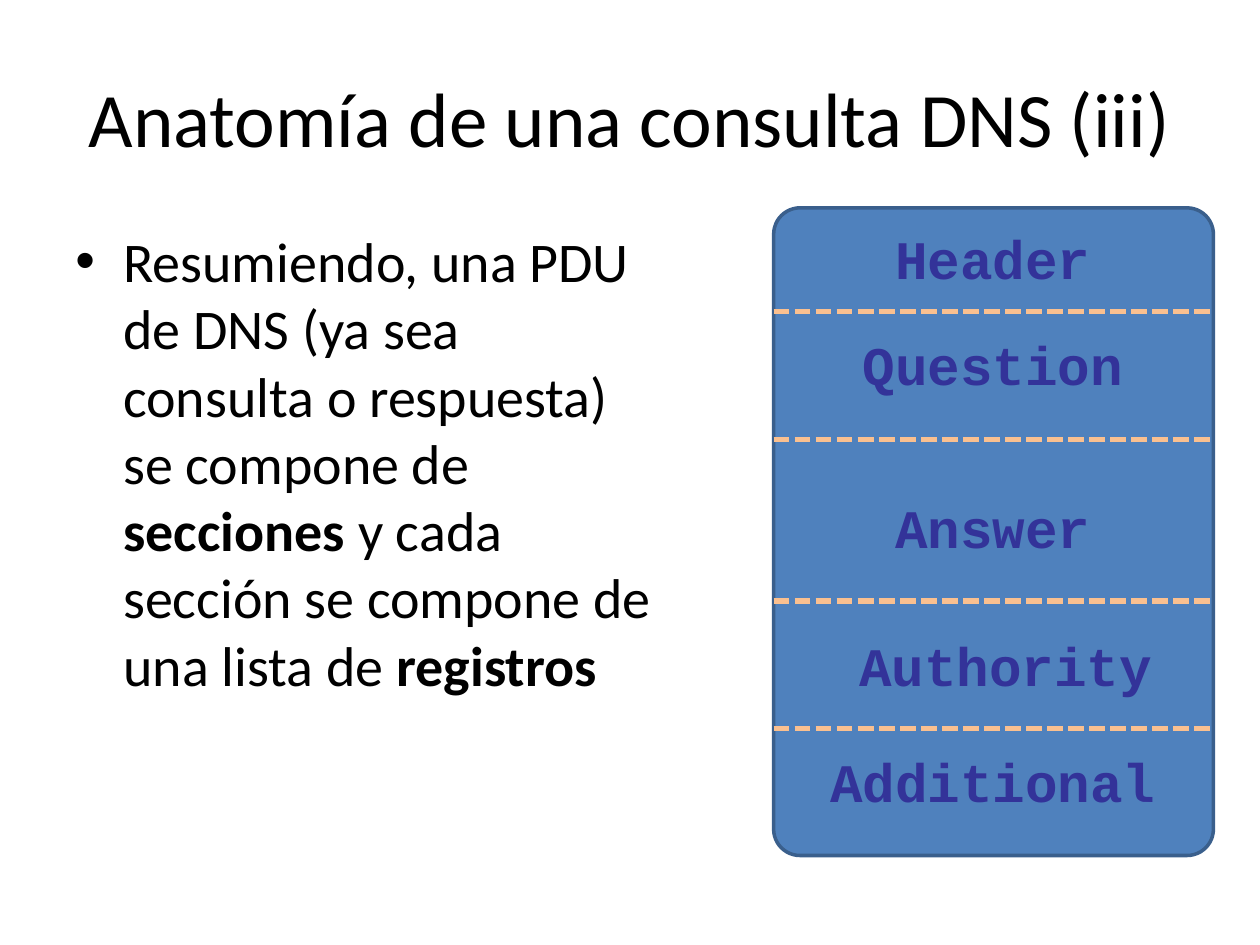
from typing import NamedTuple, Optional

from lxml.etree import SubElement
from pptx import Presentation
from pptx.dml.color import RGBColor
from pptx.enum.dml import MSO_LINE
from pptx.enum.shapes import MSO_CONNECTOR, MSO_SHAPE
from pptx.enum.text import MSO_ANCHOR, PP_ALIGN
from pptx.oxml.ns import qn
from pptx.shapes.group import GroupShape
from pptx.text.text import TextFrame, _Paragraph
from pptx.util import Inches, Pt

BLACK = RGBColor(0x00, 0x00, 0x00)
BLUE = RGBColor(0x4F, 0x81, 0xBD)
DARK_BLUE = RGBColor(0x3A, 0x5F, 0x8C)
INDIGO = RGBColor(0x33, 0x33, 0x99)
PEACH = RGBColor(0xFA, 0xC0, 0x90)

PDU_LEFT, PDU_TOP, PDU_WIDTH, PDU_HEIGHT = 6.14, 1.65, 3.49, 5.14
LABEL_LEFT, LABEL_WIDTH, LABEL_HEIGHT = 6.41, 2.94, 0.63


class Section(NamedTuple):
    """A section of the PDU: its label and the divider below it."""
    name: str
    top: float
    divider: Optional[float] = None
    shift: float = 0


SECTIONS = [
    Section("Header", 1.74, 2.47),
    Section("Question", 2.58, 3.49),
    Section("Answer", 3.87, 4.77),
    Section("Authority", 4.97, 5.78, shift=0.1),
    Section("Additional", 5.89),
]

BODY_RUNS = [
    ("Resumiendo, una PDU de DNS (ya sea consulta o respuesta) se compone de ", False),
    ("secciones ", True),
    ("y cada sección se compone de una lista de ", False),
    ("registros", True),
]


def add_text_frame(shapes, left: float, top: float, width: float, height: float) -> TextFrame:
    """Add a wrapping text box and return its text frame."""
    sp = shapes.add_textbox(Inches(left), Inches(top), Inches(width), Inches(height))
    sp.text_frame.word_wrap = True
    return sp.text_frame


def add_run(p: _Paragraph, text: str, size: float, font: str = "Calibri",
            color: RGBColor = BLACK, bold: bool = False) -> None:
    """Append a formatted run to a paragraph."""
    r = p.add_run()
    r.text = text
    r.font.size = Pt(size)
    r.font.name = font
    r.font.bold = bold
    r.font.color.rgb = color


def set_bullet(p: _Paragraph, indent: float) -> None:
    """Give a paragraph a round bullet with a hanging indent."""
    pPr = p._p.get_or_add_pPr()
    pPr.set("marL", str(Inches(indent)))
    pPr.set("indent", str(-Inches(indent)))
    SubElement(pPr, qn("a:buFont")).set("typeface", "Arial")
    SubElement(pPr, qn("a:buChar")).set("char", "•")


def add_divider(group: GroupShape, y: float) -> None:
    """Draw a dashed line across the PDU."""
    line = group.shapes.add_connector(
        MSO_CONNECTOR.STRAIGHT, Inches(PDU_LEFT), Inches(y),
        Inches(PDU_LEFT + PDU_WIDTH), Inches(y))
    line.line.color.rgb = PEACH
    line.line.width = Pt(3)
    line.line.dash_style = MSO_LINE.SQUARE_DOT
    SubElement(line._element.spPr, qn("a:effectLst"))


def add_section(group: GroupShape, section: Section) -> None:
    """Write a section label and draw the divider below it."""
    tf = add_text_frame(group.shapes, LABEL_LEFT + section.shift, section.top,
                        LABEL_WIDTH, LABEL_HEIGHT)
    p = tf.paragraphs[0]
    p.alignment = PP_ALIGN.CENTER
    add_run(p, section.name, 31, "Courier New", INDIGO, True)
    if section.divider is not None:
        add_divider(group, section.divider)


prs = Presentation()
prs.slide_width, prs.slide_height = Inches(10), Inches(7.5)
s = prs.slides.add_slide(prs.slide_layouts[6])

tf = add_text_frame(s.shapes, 0.5, 0.3, 9, 1.25)
tf.vertical_anchor = MSO_ANCHOR.MIDDLE
p = tf.paragraphs[0]
p.alignment = PP_ALIGN.CENTER
add_run(p, "Anatomía de una consulta DNS (iii)", 44)

tf = add_text_frame(s.shapes, 0.5, 1.75, 4.84, 4.95)
p = tf.paragraphs[0]
p.space_before = Pt(6.4)
set_bullet(p, 0.38)
for text, bold in BODY_RUNS:
    add_run(p, text, 32, bold=bold)

pdu = s.shapes.add_group_shape()
sp = pdu.shapes.add_shape(MSO_SHAPE.ROUNDED_RECTANGLE, Inches(PDU_LEFT), Inches(PDU_TOP),
                          Inches(PDU_WIDTH), Inches(PDU_HEIGHT))
sp.adjustments[0] = 0.06
sp.shadow.inherit = False
sp.fill.solid()
sp.fill.fore_color.rgb = BLUE
sp.line.color.rgb = DARK_BLUE
sp.line.width = Pt(2)
for section in SECTIONS:
    add_section(pdu, section)

prs.save("out.pptx")
